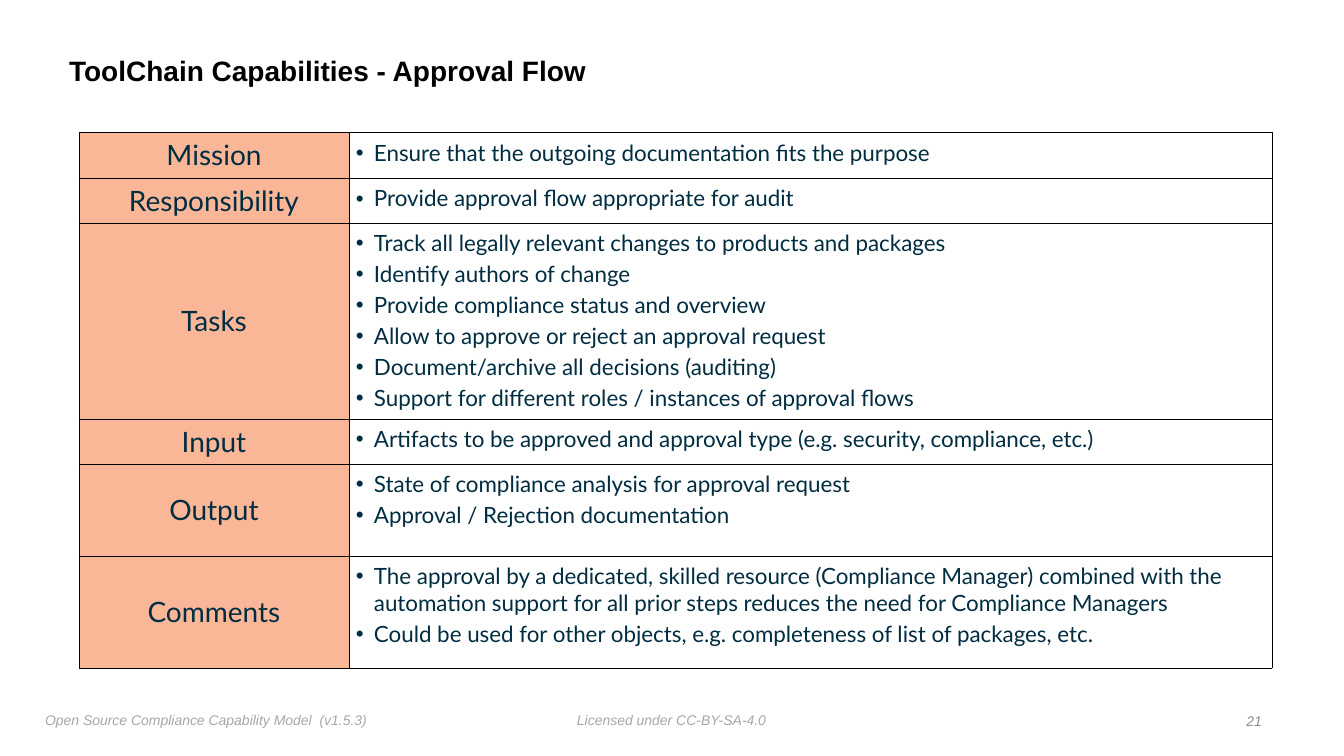
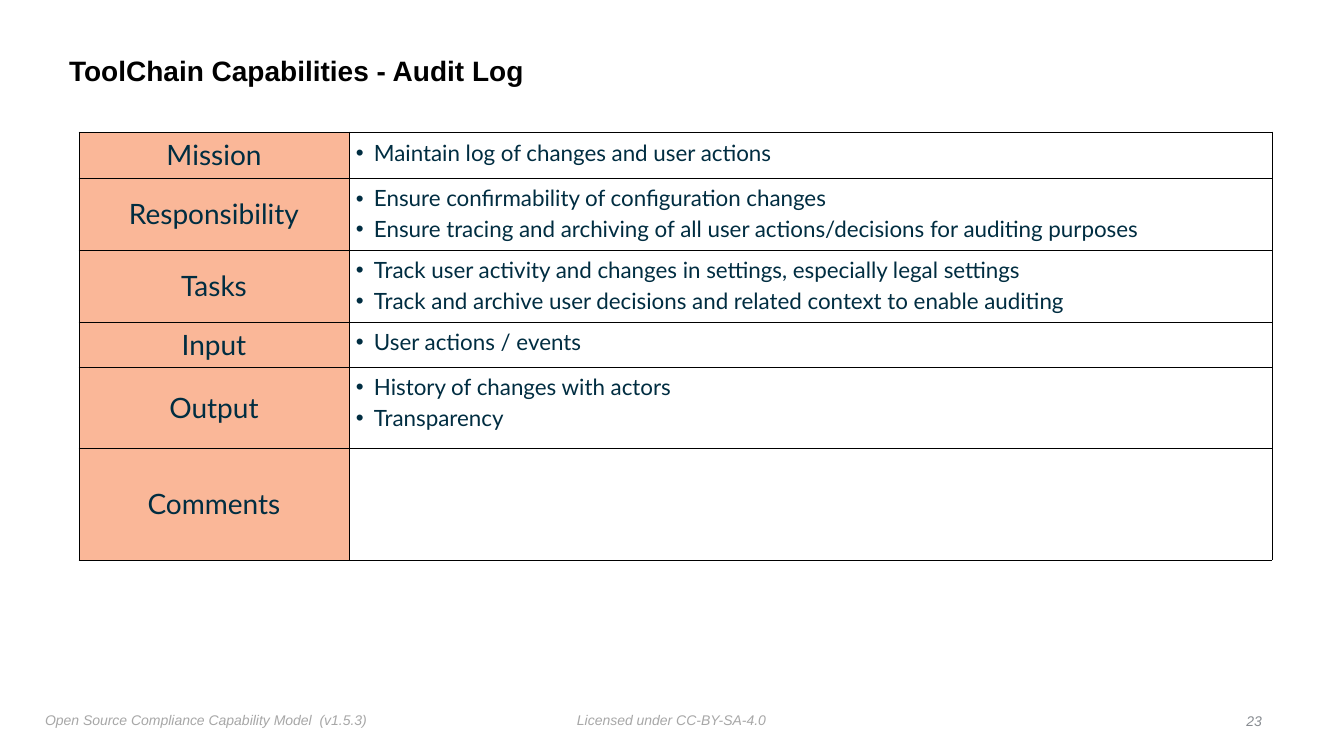
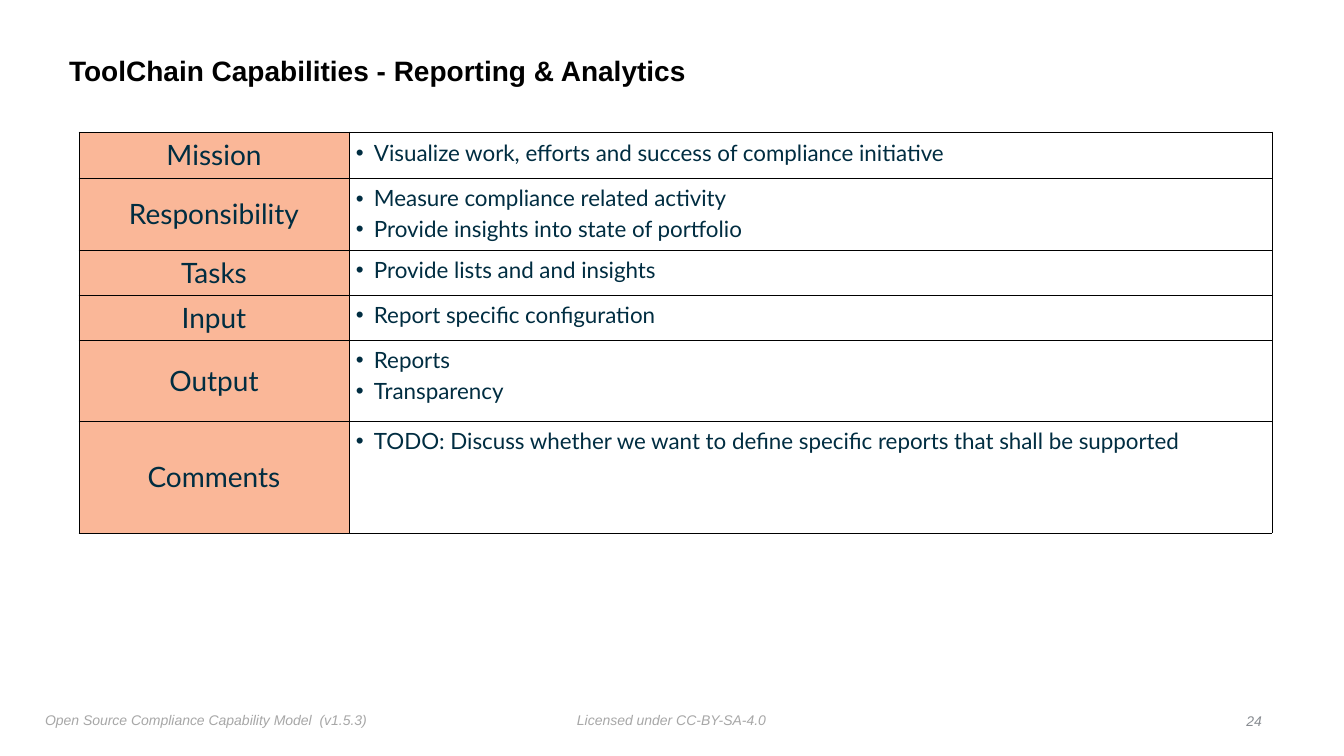
from lxml import etree
from pptx import Presentation
from pptx.dml.color import RGBColor
from pptx.enum.text import MSO_ANCHOR as Anchor, PP_ALIGN as Align
from pptx.oxml.ns import qn
from pptx.util import Pt

EMU_PER_PX = 914400 / 100.8
COLORS = {
    "title": "000000",
    "border": "000000",
    "label_fill": "FAB798",
    "table_text": "002D41",
    "footer": "A7A7A7",
    "number": "888C91",
}
TITLE_PREFIX = "ToolChain Capabilities - "
FOOTERS = [
    (572, 707, 200, 25, "Licensed under CC-BY-SA-4.0", "footer", Align.LEFT),
    (40, 707, 335, 27, "Open Source Compliance Capability Model  (v1.5.3)", "footer", Align.LEFT),
]
LABELS = ["Mission", "Responsibility", "Tasks", "Input", "Output", "Comments"]
COLUMN_WIDTHS = [270, 923]
CELL_INSET, BULLET_INDENT = 7, 18
LINE_HEIGHT, BULLET_GAP = 27, 4

# Title, page number, least height of the output row, bullets for each label
CAPABILITIES = [
    ("Approval Flow", 21, 92, [
        ["Ensure that the outgoing documentation fits the purpose"],
        ["Provide approval flow appropriate for audit"],
        ["Track all legally relevant changes to products and packages",
         "Identify authors of change",
         "Provide compliance status and overview",
         "Allow to approve or reject an approval request",
         "Document/archive all decisions (auditing)",
         "Support for different roles / instances of approval flows"],
        ["Artifacts to be approved and approval type (e.g. security, compliance, etc.)"],
        ["State of compliance analysis for approval request",
         "Approval / Rejection documentation"],
        ["The approval by a dedicated, skilled resource (Compliance Manager) combined with the "
         "automation support for all prior steps reduces the need for Compliance Managers",
         "Could be used for other objects, e.g. completeness of list of packages, etc."],
    ]),
    ("Audit Log", 23, 81, [
        ["Maintain log of changes and user actions"],
        ["Ensure confirmability of configuration changes",
         "Ensure tracing and archiving of all user actions/decisions for auditing purposes"],
        ["Track user activity and changes in settings, especially legal settings",
         "Track and archive user decisions and related context to enable auditing"],
        ["User actions / events"],
        ["History of changes with actors", "Transparency"],
        [],
    ]),
    ("Reporting & Analytics", 24, 81, [
        ["Visualize work, efforts and success of compliance initiative"],
        ["Measure compliance related activity", "Provide insights into state of portfolio"],
        ["Provide lists and and insights"],
        ["Report specific configuration"],
        ["Reports", "Transparency"],
        ["TODO: Discuss whether we want to define specific reports that shall be supported"],
    ]),
]


def px(length):
    return round(length * EMU_PER_PX)


def add_run(paragraph, text, font, size, color, bold=False, italic=False):
    run = paragraph.add_run()
    run.text = text
    run.font.name = font
    run.font.size = Pt(size)
    run.font.bold = bold
    run.font.italic = italic
    run.font.color.rgb = RGBColor.from_string(COLORS[color])


presentation = Presentation()
presentation.slide_width = px(1344)
presentation.slide_height = px(756)
title_only = presentation.slide_layouts[5]

for name, number, output_height, contents in CAPABILITIES:
    slide = presentation.slides.add_slide(title_only)

    title = slide.shapes.title
    title.left, title.top, title.width, title.height = px(64), px(39), px(1084), px(66)
    frame = title.text_frame
    frame.vertical_anchor = Anchor.MIDDLE
    frame.margin_left = frame.margin_right = frame.margin_top = frame.margin_bottom = px(5)
    paragraph = frame.paragraphs[0]
    paragraph.alignment = Align.LEFT
    paragraph.line_spacing = 0.9
    add_run(paragraph, TITLE_PREFIX + name, "Arial", 20, "title", bold=True)

    # Capability table
    least_heights = [46, 45, 45, 45, output_height, 112]
    heights = [
        max(least, 2 * CELL_INSET + len(bullets) * (LINE_HEIGHT + BULLET_GAP) - BULLET_GAP)
        for least, bullets in zip(least_heights, contents)
    ]
    table = slide.shapes.add_table(
        len(LABELS), 2, px(79), px(132), px(sum(COLUMN_WIDTHS)), px(sum(heights))
    ).table
    table.first_row = table.horz_banding = False
    for column, width in zip(table.columns, COLUMN_WIDTHS):
        column.width = px(width)

    for row, height, label, bullets in zip(table.rows, heights, LABELS, contents):
        row.height = px(height)
        label_cell, content_cell = row.cells
        for cell, inset in ((label_cell, 0), (content_cell, CELL_INSET)):
            cell.margin_left = cell.margin_right = px(inset)
            cell.margin_top = cell.margin_bottom = px(inset)
            properties = cell._tc.get_or_add_tcPr()
            for side in ("lnL", "lnR", "lnT", "lnB"):
                line = etree.SubElement(properties, qn(f"a:{side}"), w=str(Pt(0.5)))
                fill = etree.SubElement(line, qn("a:solidFill"))
                etree.SubElement(fill, qn("a:srgbClr"), val=COLORS["border"])

        label_cell.fill.solid()
        label_cell.fill.fore_color.rgb = RGBColor.from_string(COLORS["label_fill"])
        label_cell.vertical_anchor = Anchor.MIDDLE
        paragraph = label_cell.text_frame.paragraphs[0]
        paragraph.alignment = Align.CENTER
        add_run(paragraph, label, "Lato", 20, "table_text")

        content_cell.fill.background()
        frame = content_cell.text_frame
        for index, bullet in enumerate(bullets):
            paragraph = frame.add_paragraph() if index else frame.paragraphs[0]
            properties = paragraph._p.get_or_add_pPr()
            properties.set("marL", str(px(BULLET_INDENT)))
            properties.set("indent", str(-px(BULLET_INDENT)))
            etree.SubElement(properties, qn("a:buFont"), typeface="Arial")
            etree.SubElement(properties, qn("a:buChar"), char="•")
            if index:
                paragraph.space_before = Pt(3)
            add_run(paragraph, bullet, "Lato", 16, "table_text")

    # Footer texts and page number
    page_number = (1240, 708, 27, 25, str(number), "number", Align.RIGHT)
    for left, top, width, height, text, color, alignment in FOOTERS + [page_number]:
        frame = slide.shapes.add_textbox(px(left), px(top), px(width), px(height)).text_frame
        frame.word_wrap = False
        frame.margin_left = frame.margin_right = frame.margin_top = frame.margin_bottom = px(5)
        paragraph = frame.paragraphs[0]
        paragraph.alignment = alignment
        add_run(paragraph, text, "Arial", 10, color, italic=True)

presentation.save("out.pptx")
